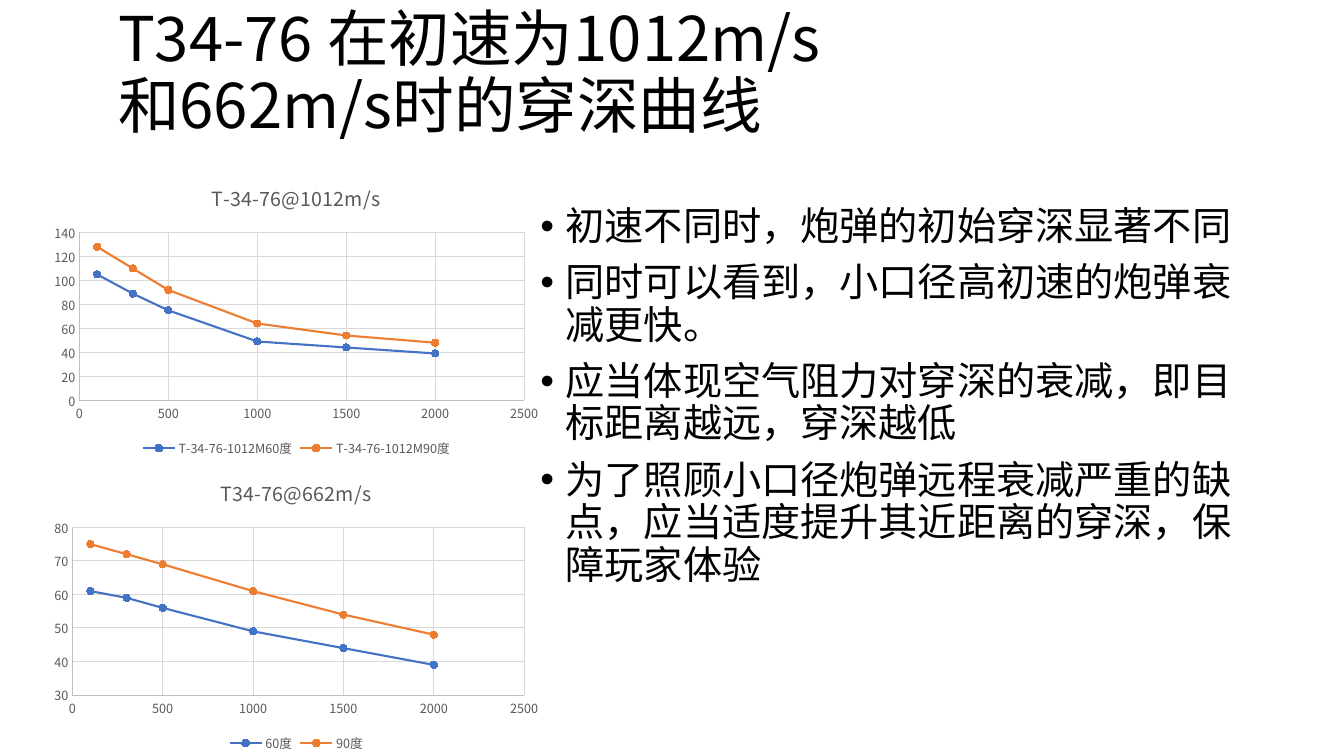
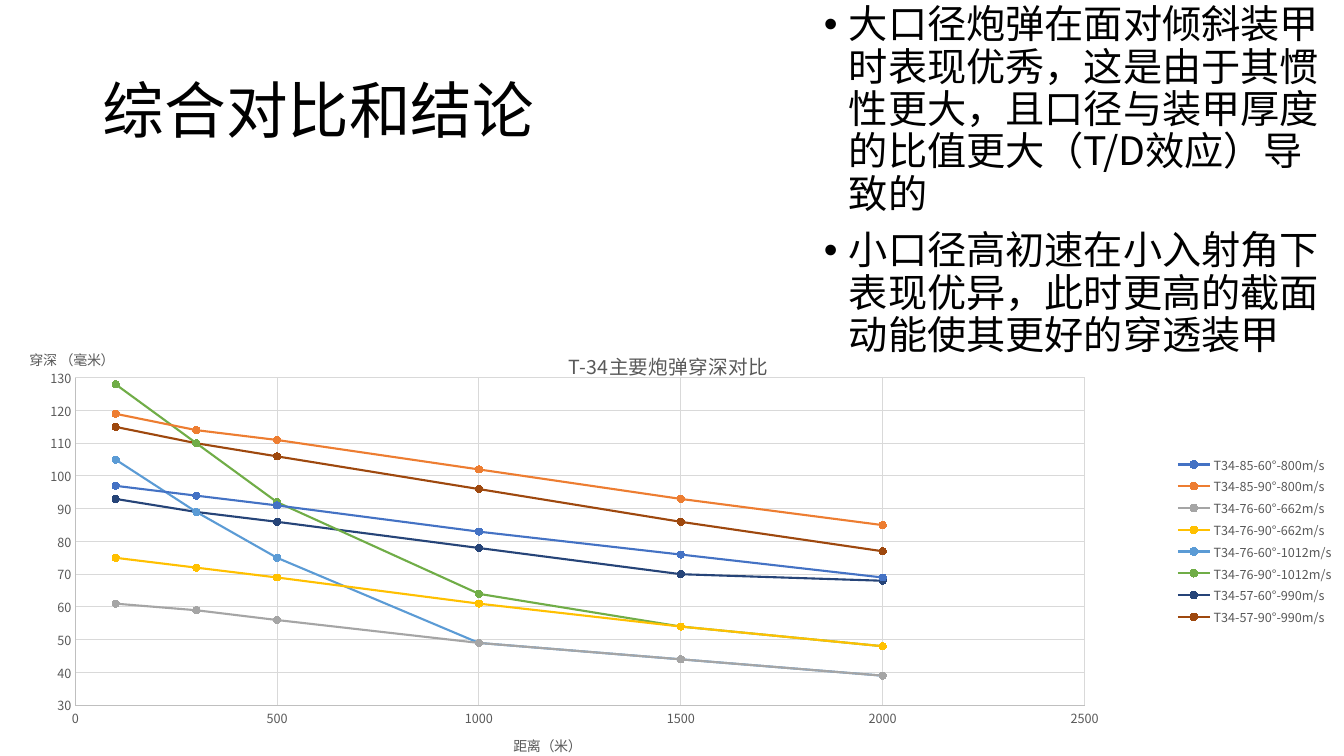
import pptx
import pptx.chart.data
import pptx.dml.color
import pptx.enum.chart
import pptx.enum.text
import pptx.oxml.ns
import pptx.util
from lxml import etree

FONT = "Noto Sans CJK SC"
COLORS = {
    "text": "000000", "label": "595959", "axis": "BFBFBF", "grid": "D9D9D9",
    "blue": "4472C4", "orange": "ED7D31", "gray": "A5A5A5", "gold": "FFC000",
    "sky": "5B9BD5", "green": "70AD47", "navy": "264478", "brown": "9E480E",
}
SERIES_COLORS = ("blue", "orange", "gray", "gold", "sky", "green", "navy", "brown")
DISTANCES = (100, 300, 500, 1000, 1500, 2000)
PENETRATION = {
    "T34-85-60°-800m/s": (97, 94, 91, 83, 76, 69),
    "T34-85-90°-800m/s": (119, 114, 111, 102, 93, 85),
    "T34-76-60°-662m/s": (61, 59, 56, 49, 44, 39),
    "T34-76-90°-662m/s": (75, 72, 69, 61, 54, 48),
    "T34-76-60°-1012m/s": (105, 89, 75, 49, 44, 39),
    "T34-76-90°-1012m/s": (128, 110, 92, 64, 54, 48),
    "T34-57-60°-990m/s": (93, 89, 86, 78, 70, 68),
    "T34-57-90°-990m/s": (115, 110, 106, 96, 86, 77),
}
FAST_SHELL = {
    f"T-34-76-1012M{angle}度": PENETRATION[f"T34-76-{angle}°-1012m/s"] for angle in (60, 90)
}
SLOW_SHELL = {f"{angle}度": PENETRATION[f"T34-76-{angle}°-662m/s"] for angle in (60, 90)}

qn = pptx.oxml.ns.qn
Pt = pptx.util.Pt
WIDTH = pptx.util.Inches(13.33)
HEIGHT = pptx.util.Inches(7.5)


def color(name):
    return pptx.dml.color.RGBColor.from_string(COLORS[name])


def percent(box):
    return [int(share * side / 100) for share, side in zip(box, (WIDTH, HEIGHT) * 2)]


def style_font(font, size, tint):
    font.size = Pt(size)
    font.bold = False
    font.name = FONT
    font.color.rgb = color(tint)
    latin = font._element.find(qn("a:latin"))
    east = etree.Element(qn("a:ea"), typeface=FONT)
    latin.addnext(east)


def style_line(line, tint, width):
    line.color.rgb = color(tint)
    line.width = Pt(width)


def write(frame, text, size=28, tint="text", spacing=None, before=None, bullet=False, align=None):
    frame.text = text
    for para in frame.paragraphs:
        if spacing:
            para.line_spacing = spacing
        if before is not None:
            para.space_before = Pt(before)
        if align is not None:
            para.alignment = align
        if bullet:
            indent = pptx.util.Inches(0.25)
            settings = para._p.get_or_add_pPr()
            settings.set("marL", str(indent))
            settings.set("indent", str(-indent))
            etree.SubElement(settings, qn("a:buFont"), typeface="Arial")
            etree.SubElement(settings, qn("a:buChar"), char="•")
        for span in para.runs:
            style_font(span.font, size, tint)


def fill_placeholder(shape, text, box, anchor, **form):
    shape.left, shape.top, shape.width, shape.height = percent(box)
    frame = shape.text_frame
    frame.word_wrap = True
    frame.auto_size = pptx.enum.text.MSO_AUTO_SIZE.NONE
    frame.vertical_anchor = anchor
    write(frame, text, spacing=0.9, align=pptx.enum.text.PP_ALIGN.LEFT, **form)


def add_page(deck, title, title_box, points, points_box):
    page = deck.slides.add_slide(deck.slide_layouts[1])
    anchors = pptx.enum.text.MSO_ANCHOR
    fill_placeholder(page.shapes.title, title, title_box, anchors.MIDDLE, size=44, before=0)
    fill_placeholder(page.placeholders[1], "\n".join(points), points_box, anchors.TOP,
                     before=10, bullet=True)
    return page


def make_layout(**settings):
    layout = etree.Element(qn("c:layout"))
    manual = etree.SubElement(layout, qn("c:manualLayout"))
    for name, value in settings.items():
        etree.SubElement(manual, qn(f"c:{name}"), val=str(value))
    return layout


def drop_layout(parent):
    for layout in parent.findall(qn("c:layout")):
        parent.remove(layout)


def write_title(title, text, size, position=None):
    write(title.text_frame, text, size=size, tint="label")
    if position:
        element = title._element
        drop_layout(element)
        x, y = position
        layout = make_layout(xMode="edge", yMode="edge", x=x, y=y)
        element.find(qn("c:tx")).addnext(layout)


def style_axis(axis, low=None, high=None):
    axis.minimum_scale = low
    axis.maximum_scale = high
    axis.has_major_gridlines = True
    style_line(axis.major_gridlines.format.line, "grid", 0.75)
    style_line(axis.format.line, "axis", 0.75)
    axis.major_tick_mark = pptx.enum.chart.XL_TICK_MARK.NONE
    axis.minor_tick_mark = pptx.enum.chart.XL_TICK_MARK.NONE
    style_font(axis.tick_labels.font, 9, "label")


def style_series(series, tint):
    series.smooth = True
    style_line(series.format.line, tint, 1.5)
    marker = series.marker
    marker.style = pptx.enum.chart.XL_MARKER_STYLE.CIRCLE
    marker.size = 5
    marker.format.fill.solid()
    marker.format.fill.fore_color.rgb = color(tint)
    style_line(marker.format.line, tint, 0.75)


def add_curves(page, box, title, curves, legend="BOTTOM", low=None, high=None, title_at=None):
    data = pptx.chart.data.XyChartData()
    for name, depths in curves.items():
        series = data.add_series(name)
        for distance, depth in zip(DISTANCES, depths):
            series.add_data_point(distance, depth)
    kind = pptx.enum.chart.XL_CHART_TYPE.XY_SCATTER_SMOOTH
    chart = page.shapes.add_chart(kind, *percent(box), data).chart
    style_font(chart.font, 10, "text")
    outline = etree.Element(qn("c:spPr"))
    etree.SubElement(outline, qn("a:noFill"))
    etree.SubElement(etree.SubElement(outline, qn("a:ln")), qn("a:noFill"))
    chart._chartSpace.find(qn("c:chart")).addnext(outline)
    chart.has_title = True
    write_title(chart.chart_title, title, 14, title_at)
    chart.has_legend = True
    chart.legend.position = getattr(pptx.enum.chart.XL_LEGEND_POSITION, legend)
    chart.legend.include_in_layout = False
    style_font(chart.legend.font, 9, "label")
    style_axis(chart.category_axis)
    style_axis(chart.value_axis, low, high)
    chart.plots[0].vary_by_categories = False
    for series, tint in zip(chart.plots[0].series, SERIES_COLORS):
        style_series(series, tint)
    return chart


def add_shell_page(deck):
    page = add_page(
        deck, "T34-76 在初速为1012m/s\n和662m/s时的穿深曲线", (8.03, 0.27, 86.26, 19.33),
        ("初速不同时，炮弹的初始穿深显著不同",
         "同时可以看到，小口径高初速的炮弹衰减更快。",
         "应当体现空气阻力对穿深的衰减，即目标距离越远，穿深越低",
         "为了照顾小口径炮弹远程衰减严重的缺点，应当适度提升其近距离的穿深，保障玩家体验"),
        (39.46, 26.67, 53.71, 63.47))
    charts = (("T-34-76@1012m/s", FAST_SHELL, None), ("T34-76@662m/s", SLOW_SHELL, 30))
    for row, (title, curves, low) in enumerate(charts):
        add_curves(page, (3.3, 22 + 39 * row, 37.5, 39), title, curves, low=low)


def add_summary_page(deck):
    page = add_page(
        deck, "综合对比和结论", (6.9, 5.33, 86.26, 19.33),
        ("大口径炮弹在面对倾斜装甲时表现优秀，这是由于其惯性更大，且口径与装甲厚度的比值更大（T/D效应）导致的",
         "小口径高初速在小入射角下表现优异，此时更高的截面动能使其更好的穿透装甲"),
        (60.54, 0, 39.46, 63.47))
    chart = add_curves(page, (0, 42.8, 100, 57.73), "T-34主要炮弹穿深对比", PENETRATION,
                       legend="RIGHT", low=30, high=130, title_at=(0.42, 0.05))
    write_title(chart.category_axis.axis_title, "距离（米）", 10, (0.38, 0.94))
    depth_title = chart.value_axis.axis_title
    write_title(depth_title, "穿深 （毫米）", 10, (0.02, 0.05))
    turn = depth_title._element.find(".//" + qn("a:bodyPr"))
    turn.set("rot", "0")
    turn.set("vert", "horz")
    area = chart._chartSpace.find(".//" + qn("c:plotArea"))
    drop_layout(area)
    area.insert(0, make_layout(layoutTarget="inner", xMode="edge", yMode="edge",
                               x=0.056, y=0.125, w=0.751, h=0.754))


def main():
    deck = pptx.Presentation()
    deck.slide_width, deck.slide_height = WIDTH, HEIGHT
    add_shell_page(deck)
    add_summary_page(deck)
    deck.save("out.pptx")


if __name__ == "__main__":
    main()
